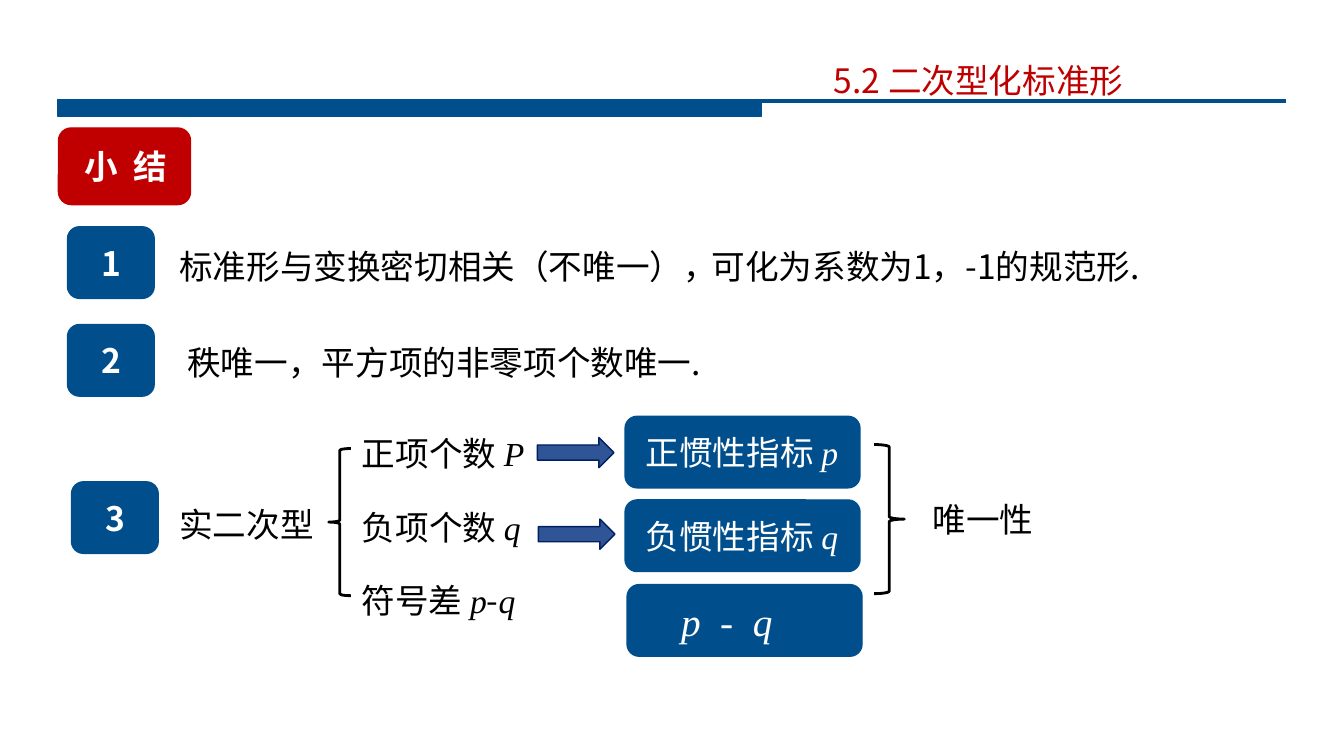
from dataclasses import dataclass
from lxml import etree
from pptx import Presentation, util as u
from pptx.dml import color
from pptx.enum import shapes, text
from pptx.oxml import ns

BLUE, RED, BLACK, WHITE = "004F8C", "C00000", "000000", "FFFFFF"
SANS, SERIF = "Noto Sans CJK SC", "Times New Roman"
KIND = shapes.MSO_SHAPE
FRAME = {"word_wrap": True, "vertical_anchor": text.MSO_ANCHOR.MIDDLE}
INSETS = {"margin_left": u.Inches(0.1), "margin_right": u.Inches(0),
          "margin_top": u.Inches(0.05), "margin_bottom": u.Inches(0.05)}


@dataclass
class Box:
    x: float
    y: float
    w: float
    h: float

    def emu(self) -> list:
        return [u.Inches(v) for v in (self.x, self.y, self.w, self.h)]


@dataclass
class Label:
    box: Box
    words: str
    symbol: str = ""


@dataclass
class Tile:
    box: Box
    words: str
    symbol: str = ""
    indent: float = 0.3
    size: int = 24
    bold: bool = False
    fill: str = BLUE


def rgb(value: str) -> color.RGBColor:
    return color.RGBColor.from_string(value)


def apply(target, formats: dict) -> None:
    for name, value in formats.items():
        setattr(target, name, value)


def add_run(p, words: str, font: str, size: int, shade: str, bold: bool, italic: bool) -> None:
    r = p.add_run()
    r.text = words
    apply(r.font, {"name": font, "size": u.Pt(size), "bold": bold, "italic": italic})
    r.font.color.rgb = rgb(shade)
    ea = etree.SubElement(r.font._element, ns.qn("a:ea"))
    ea.set("typeface", SANS)


def write(sp, words: str, symbol: str = "", size: int = 24, shade: str = BLACK,
          bold: bool = False, indent: float = 0.1) -> None:
    tf = sp.text_frame
    apply(tf, FRAME | INSETS | {"margin_left": u.Inches(indent)})
    p = tf.paragraphs[0]
    p.alignment = text.PP_ALIGN.LEFT
    if words:
        add_run(p, words, SANS, size, shade, bold, False)
    for i, part in enumerate(symbol.split("|") if symbol else []):
        minus = part == "-"
        add_run(p, part, SANS if minus else SERIF, size, shade, bold, not minus)


def add_shape(s, kind, box: Box, fill: str, line: str, width: float = 1):
    sp = s.shapes.add_shape(kind, *box.emu())
    sp.shadow.inherit = False
    if fill:
        sp.fill.solid()
        sp.fill.fore_color.rgb = rgb(fill)
    else:
        sp.fill.background()
    sp.line.color.rgb = rgb(line)
    sp.line.width = u.Pt(width)
    return sp


def add_label(s, label: Label) -> None:
    sp = s.shapes.add_textbox(*label.box.emu())
    write(sp, label.words, label.symbol)
    sp.text_frame.auto_size = text.MSO_AUTO_SIZE.SHAPE_TO_FIT_TEXT


def add_tile(s, tile: Tile) -> None:
    sp = add_shape(s, KIND.ROUNDED_RECTANGLE, tile.box, tile.fill, tile.fill)
    write(sp, tile.words, tile.symbol, tile.size, WHITE, tile.bold, tile.indent)


def add_header(s) -> None:
    rule = s.shapes.add_connector(shapes.MSO_CONNECTOR.STRAIGHT, u.Inches(0.57),
                                  u.Inches(1), u.Inches(12.75), u.Inches(1))
    rule.line.color.rgb = rgb(BLUE)
    rule.line.width = u.Pt(3)
    etree.SubElement(rule._element.spPr, ns.qn("a:effectLst"))
    add_shape(s, KIND.RECTANGLE, Box(0.57, 1, 6.98, 0.15), BLUE, BLUE)
    title = s.shapes.title
    apply(title, dict(zip(("left", "top", "width", "height"),
                          Box(8.17, 0.54, 4.54, 0.5).emu())))
    write(title, "5.2 二次型化标准形", shade=RED)


TILES = [
    Tile(Box(0.58, 1.27, 1.31, 0.76), "小  结", indent=0.22, bold=True, fill=RED),
    *(Tile(Box(x, y, 0.86, 0.71), str(n), bold=True)
      for n, (x, y) in enumerate([(0.67, 2.25), (0.67, 3.22), (0.71, 4.78)], 1)),
    Tile(Box(6.2, 4.13, 2.33, 0.71), "正惯性指标 ", "p", 0.17),
    Tile(Box(6.2, 4.96, 2.33, 0.71), "负惯性指标 ", "q", 0.17),
    Tile(Box(6.22, 5.8, 2.33, 0.71), "", "p  -  q", 0.5, 28),
]
LABELS = [
    Label(Box(1.68, 2.39, 5.6, 0.5), "标准形与变换密切相关（不唯一），"),
    Label(Box(6.96, 2.39, 4.95, 0.5), "可化为系数为1，-1的规范形."),
    Label(Box(1.76, 3.34, 6.69, 0.5), "秩唯一，平方项的非零项个数唯一."),
    Label(Box(1.68, 4.95, 1.77, 0.5), "实二次型"),
    Label(Box(3.49, 4.24, 2.08, 0.5), "正项个数 ", "P"),
    Label(Box(3.49, 4.98, 2.08, 0.5), "负项个数 ", "q"),
    Label(Box(3.49, 5.7, 1.94, 0.5), "符号差 ", "p|-|q"),
    Label(Box(9.15, 4.9, 1.61, 0.5), "唯一性"),
]
BRACES = [(KIND.LEFT_BRACE, Box(3.26, 4.45, 0.22, 1.46)),
          (KIND.RIGHT_BRACE, Box(8.67, 4.41, 0.3, 1.48))]
ARROWS = [Box(5.33, 4.34, 0.76, 0.3), Box(5.34, 5.15, 0.76, 0.3)]


def main() -> None:
    prs = Presentation()
    apply(prs, {"slide_width": u.Inches(13.33), "slide_height": u.Inches(7.5)})
    s = prs.slides.add_slide(prs.slide_layouts[5])
    add_header(s)
    for tile in TILES:
        add_tile(s, tile)
    for label in LABELS:
        add_label(s, label)
    for kind, box in BRACES:
        add_shape(s, kind, box, "", BLACK, 2)
    for box in ARROWS:
        add_shape(s, KIND.RIGHT_ARROW, box, "2F5597", "002060")
    prs.save("out.pptx")


if __name__ == "__main__":
    main()
